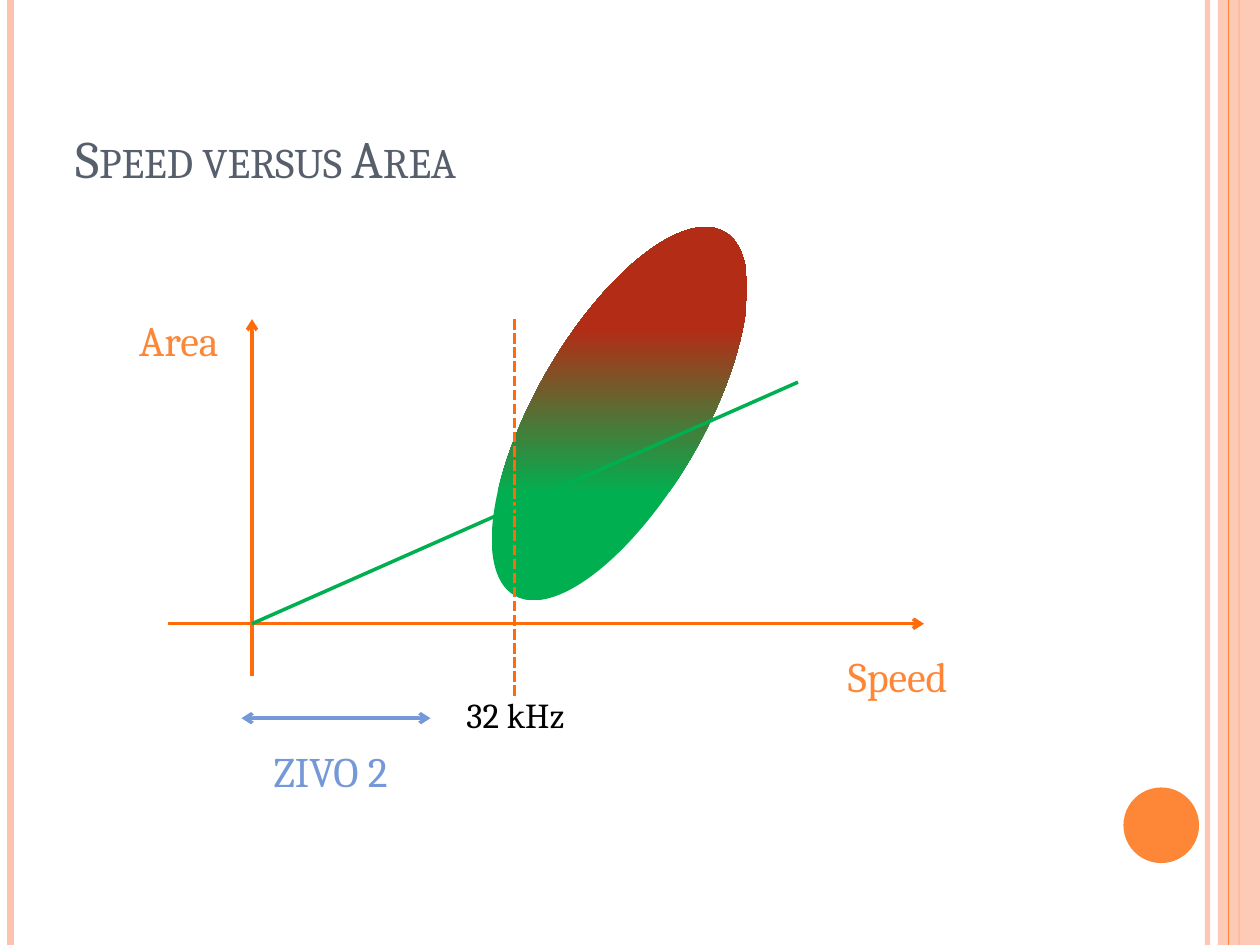
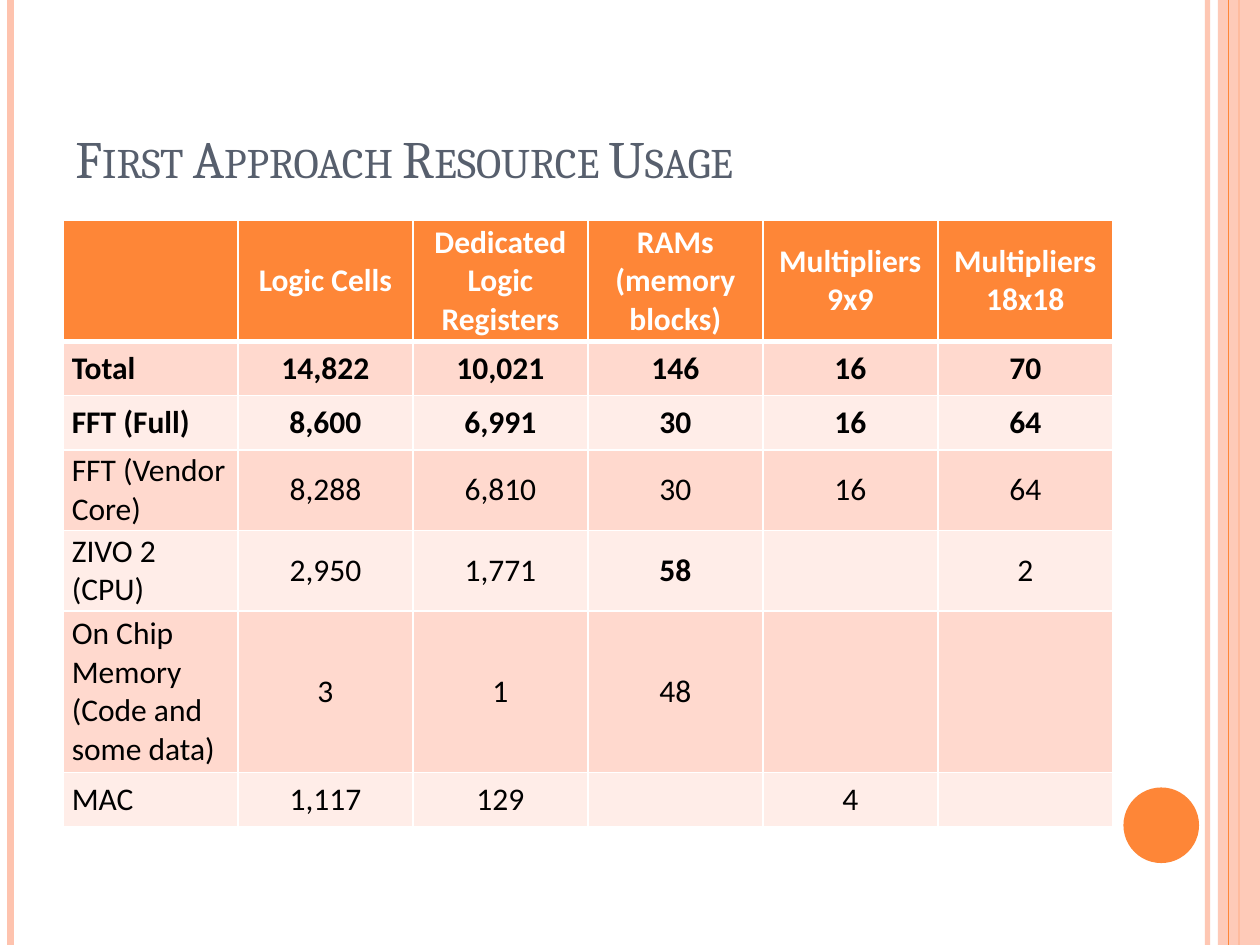
import dataclasses

import pptx
import pptx.dml.color
import pptx.enum.dml
import pptx.enum.shapes
import pptx.enum.text
import pptx.oxml.ns
import pptx.util
from lxml import etree

Shape = pptx.enum.shapes.MSO_SHAPE
Align = pptx.enum.text.PP_ALIGN
Anchor = pptx.enum.text.MSO_ANCHOR
qn = pptx.oxml.ns.qn


@dataclasses.dataclass(frozen=True)
class Theme:
    title: str = "575F6D"
    band: str = "FEC3AE"
    accent: str = "FE8637"
    axis: str = "FF6B0A"
    green: str = "00B050"
    red: str = "B32C16"
    blue: str = "7598D9"
    white: str = "FFFFFF"
    black: str = "000000"
    row_dark: str = "FFD9CE"
    row_light: str = "FFEDE8"
    display_font: str = "Cambria"
    table_font: str = "Calibri"
    title_size: int = 30
    label_size: int = 24
    note_size: int = 20
    cell_size: int = 18
    stroke: float = 2


THEME = Theme()
COLUMNS, ROWS = 120, 90  # twelve grid steps to the inch
ORIGIN = (24, 59.4)  # where the two axes cross
PROCESSOR = "ZIVO 2"

RESOURCES = [
    ["", "Logic Cells", "Dedicated Logic Registers", "RAMs (memory blocks)",
     "Multipliers\n9x9", "Multipliers\n18x18"],
    ["Total", "14,822", "10,021", "146", "16", "70"],
    ["FFT (Full)", "8,600", "6,991", "30", "16", "64"],
    ["FFT (Vendor Core)", "8,288", "6,810", "30", "16", "64"],
    [f"{PROCESSOR} (CPU)", "2,950", "1,771", "58", "", "2"],
    ["On Chip Memory (Code and some data)", "3", "1", "48", "", ""],
    ["MAC", "1,117", "129", "", "4", ""],
]
ROW_HEIGHTS = [0.96, 0.43, 0.43, 0.64, 0.64, 1.28, 0.43]
BOLD_ROWS = 3
BOLD_CELL = (4, 3)


def grid(*steps):
    return [pptx.util.Inches(step / 12) for step in steps]


def rgb(color):
    return pptx.dml.color.RGBColor.from_string(color)


def set_opacity(element, percent):
    for color in element.iter(qn("a:srgbClr")):
        etree.SubElement(color, qn("a:alpha"), val=str(percent * 1000))


def add_line(page, start, end, color, width=THEME.stroke, arrows=(), dashed=False, opacity=100):
    line = page.shapes.add_connector(
        pptx.enum.shapes.MSO_CONNECTOR.STRAIGHT, *grid(*start, *end))
    line.line.color.rgb = rgb(color)
    line.line.width = pptx.util.Pt(width)
    if dashed:
        line.line.dash_style = pptx.enum.dml.MSO_LINE.SQUARE_DOT
    properties = line._element.spPr
    outline = properties.find(qn("a:ln"))
    for arrow_end in arrows:
        etree.SubElement(outline, qn(f"a:{arrow_end}"), type="arrow")
    if opacity < 100:
        set_opacity(outline, opacity)
    etree.SubElement(properties, qn("a:effectLst"))


def add_solid(page, kind, place, color, opacity=100):
    shape = page.shapes.add_shape(kind, *grid(*place))
    shape.shadow.inherit = False
    shape.line.fill.background()
    shape.fill.solid()
    shape.fill.fore_color.rgb = rgb(color)
    if opacity < 100:
        set_opacity(shape._element.spPr, opacity)
    return shape


def style_paragraph(para, font, size, color, align=Align.LEFT, bold=False):
    para.alignment = align
    para.font.name = font
    para.font.size = pptx.util.Pt(size)
    para.font.color.rgb = rgb(color)
    para.font.bold = bold


def add_text(page, place, text, color, size=THEME.label_size, align=Align.CENTER,
             anchor=Anchor.TOP):
    box = page.shapes.add_textbox(*grid(*place))
    box.text_frame.word_wrap = True
    box.text_frame.vertical_anchor = anchor
    para = box.text_frame.paragraphs[0]
    para.text = text
    style_paragraph(para, THEME.display_font, size, color, align)
    return para


def add_page(deck, title):
    """A page with the bands, the dot and the small-caps title."""
    page = deck.slides.add_slide(deck.slide_layouts[6])
    add_line(page, (115, 0), (115, ROWS), THEME.band, 3, opacity=93)
    add_line(page, (1, 0), (1, ROWS), THEME.band, 4.5)
    add_line(page, (118, 0), (118, ROWS), THEME.accent, 1.5)
    add_solid(page, Shape.RECTANGLE, (116, 0, 4, ROWS), THEME.band, opacity=87)
    add_line(page, (117, 0), (117, ROWS), THEME.accent, 0.75)
    add_solid(page, Shape.OVAL, (107, 75, 7.2, 7.2), THEME.accent)
    para = add_text(page, (6, 3.6, 98, 15), title, THEME.title, THEME.title_size,
                    Align.LEFT, Anchor.BOTTOM)
    para.runs[0]._r.get_or_add_rPr().set("cap", "small")
    return page


def add_design_space(page):
    """The tilted ellipse, fading from green at the foot to red at the top."""
    ellipse = add_solid(page, Shape.OVAL, (51, 19.4, 16, 40), THEME.green)
    ellipse.rotation = 30
    ellipse.fill.gradient()
    ellipse.fill.gradient_angle = 90
    stops = [(0.32, THEME.green), (0.69, THEME.red)]
    for stop, (position, color) in zip(ellipse.fill.gradient_stops, stops):
        stop.position = position
        stop.color.rgb = rgb(color)
    ellipse._element.spPr.find(qn("a:gradFill")).set("rotWithShape", "0")


def add_border(cell, side, width):
    border = etree.SubElement(cell._tc.get_or_add_tcPr(), qn(f"a:ln{side}"),
                              w=str(pptx.util.Pt(width)))
    fill = etree.SubElement(border, qn("a:solidFill"))
    etree.SubElement(fill, qn("a:srgbClr"), val=THEME.white)


def fill_cell(cell, text, row, column):
    header = row == 0
    for side in "LRTB":
        under_header = (row, side) in ((0, "B"), (1, "T"))
        add_border(cell, side, 3 if under_header else 1)
    cell.fill.solid()
    stripe = THEME.row_dark if row % 2 else THEME.row_light
    cell.fill.fore_color.rgb = rgb(THEME.accent if header else stripe)
    cell.vertical_anchor = Anchor.MIDDLE
    cell.margin_left = cell.margin_right = pptx.util.Inches(0.07)
    cell.margin_top = cell.margin_bottom = 0
    para = cell.text_frame.paragraphs[0]
    para.text = text
    style_paragraph(para, THEME.table_font, THEME.cell_size,
                    THEME.white if header else THEME.black,
                    Align.CENTER if column else Align.LEFT,
                    row < BOLD_ROWS or (row, column) == BOLD_CELL)


def add_resource_table(page):
    frame = page.shapes.add_table(len(RESOURCES), len(RESOURCES[0]), *grid(6, 21, 100, 58))
    table = frame.table
    table.first_row = table.horz_banding = False
    for row, texts in enumerate(RESOURCES):
        table.rows[row].height = pptx.util.Inches(ROW_HEIGHTS[row])
        for column, text in enumerate(texts):
            fill_cell(table.cell(row, column), text, row, column)


def build_speed_page(deck):
    page = add_page(deck, "Speed versus Area")
    add_design_space(page)
    add_line(page, (49, 30.4), (49, 66.4), THEME.axis, dashed=True)

    # Axes, processor range and growth line
    origin_x, origin_y = ORIGIN
    add_line(page, (origin_x, 64.4), (origin_x, 30.4), THEME.axis, arrows=["tailEnd"])
    add_line(page, (16, origin_y), (88, origin_y), THEME.axis, arrows=["tailEnd"])
    add_line(page, (23, 68.4), (41, 68.4), THEME.blue, arrows=["headEnd", "tailEnd"])
    add_line(page, ORIGIN, (76, 36.4), THEME.green)

    # Labels
    add_text(page, (23, 70.4, 17, 6), PROCESSOR, THEME.blue)
    add_text(page, (77, 61.4, 17, 6), "Speed", THEME.accent)
    add_text(page, (5, 29.4, 17, 6), "Area", THEME.accent, align=Align.RIGHT)
    add_text(page, (42.6, 65.5, 13, 5.3), "32 kHz", THEME.black, THEME.note_size)


def main():
    deck = pptx.Presentation()
    deck.slide_width, deck.slide_height = grid(COLUMNS, ROWS)
    build_speed_page(deck)
    add_resource_table(add_page(deck, "First Approach Resource Usage"))
    deck.save("out.pptx")


if __name__ == "__main__":
    main()
